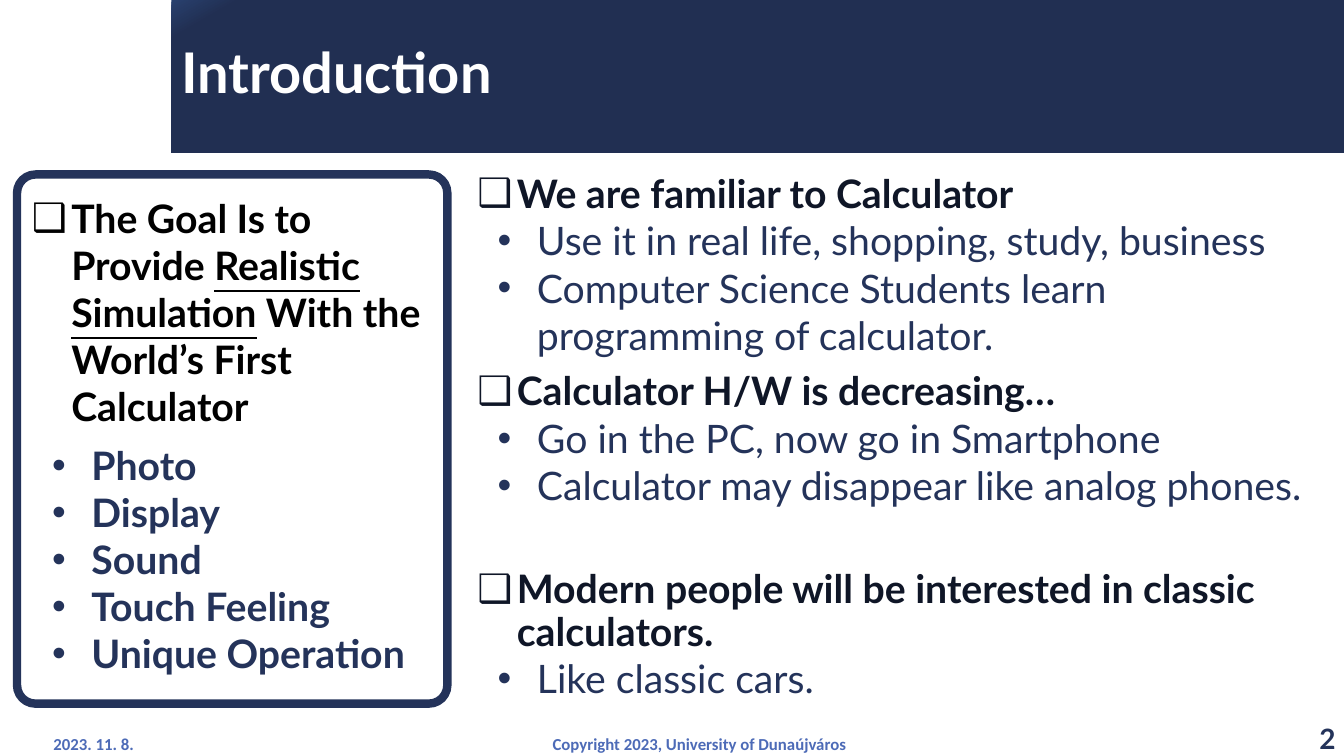
from dataclasses import dataclass
from lxml.etree import SubElement
from pptx import Presentation
from pptx.dml.color import RGBColor
from pptx.enum.shapes import MSO_SHAPE as Shape
from pptx.enum.text import MSO_ANCHOR as Anchor, PP_ALIGN as Align
from pptx.oxml.ns import qn
from pptx.util import Pt

NAVY, INK, BLACK, WHITE, BLUE = "24335A", "0F1627", "000000", "FFFFFF", "4D6BB7"
HEAD_INDENT, ITEM_INDENT, HANGING = 28.1, 42.5, 28.1


@dataclass
class Line:
    text: str
    head: bool = False
    bold: bool = False
    color: str = NAVY
    before: float = 0
    spacing: float = 1
    underlined: str = ""


@dataclass
class Footer:
    text: str
    box: tuple
    align: Align
    size: float = 12
    font: str = "Calibri"
    color: str = BLUE
    insets: tuple = (7.2, 3.6, 7.2, 0)


def rgb(value: str) -> RGBColor:
    return RGBColor.from_string(value)


def add_run(p, text: str, *, size: float = 28, font: str = "Lato", color: str = NAVY,
            bold: bool = False, underline: bool = False) -> None:
    r = p.add_run()
    r.text = text
    r.font.size = Pt(size)
    r.font.name = font
    r.font.bold = bold
    r.font.underline = underline
    r.font.color.rgb = rgb(color)


def set_frame(tf, insets: tuple, anchor: Anchor = Anchor.TOP) -> None:
    tf.word_wrap = True
    tf.vertical_anchor = anchor
    tf.margin_left, tf.margin_top, tf.margin_right, tf.margin_bottom = map(Pt, insets)


def add_text_box(slide, box: tuple, insets: tuple, anchor: Anchor = Anchor.TOP):
    tf = slide.shapes.add_textbox(*map(Pt, box)).text_frame
    set_frame(tf, insets, anchor)
    return tf


def add_bullet(p, head: bool) -> None:
    ppr = p._p.get_or_add_pPr()
    ppr.set("marL", str(Pt(HEAD_INDENT if head else ITEM_INDENT)))
    ppr.set("indent", str(-Pt(HANGING)))
    SubElement(ppr, qn("a:buFont"), typeface="Arial")
    SubElement(ppr, qn("a:buChar"), char="❑" if head else "•")


def add_list(slide, box: tuple, insets: tuple, lines: list[Line]) -> None:
    tf = add_text_box(slide, box, insets)
    for i, line in enumerate(lines):
        p = tf.add_paragraph() if i else tf.paragraphs[0]
        add_bullet(p, line.head)
        p.level = 0 if line.head else 1
        p.line_spacing = line.spacing
        p.space_before = Pt(line.before)
        start, mark, end = line.text.partition(line.underlined) if line.underlined else (line.text, "", "")
        for part in filter(None, (start, mark, end)):
            add_run(p, part, color=line.color, bold=line.bold, underline=part == mark)


def add_title(slide, text: str) -> None:
    sp = slide.shapes.title
    sp.left, sp.top, sp.width, sp.height = map(Pt, (122.4, -0.7, 837.6, 109.4))
    sp.fill.gradient()
    sp.fill.gradient_angle = 300
    for stop, color, position in zip(sp.fill.gradient_stops, ("29416F", "212F52"), (0, 0.05)):
        stop.color.rgb = rgb(color)
        stop.position = position
    set_frame(sp.text_frame, (7.2, 3.6, 7.2, 3.6), Anchor.MIDDLE)
    p = sp.text_frame.paragraphs[0]
    p.alignment = Align.LEFT
    p.line_spacing = 0.9
    add_run(p, text, size=40, color=WHITE, bold=True)


def add_panel(slide, box: tuple) -> None:
    sp = slide.shapes.add_shape(Shape.ROUNDED_RECTANGLE, *map(Pt, box))
    sp.adjustments[0] = 0.043
    sp.shadow.inherit = False
    sp.fill.background()
    sp.line.color.rgb = rgb(NAVY)
    sp.line.width = Pt(6)


def add_footer(slide, footer: Footer) -> None:
    p = add_text_box(slide, footer.box, footer.insets, Anchor.BOTTOM).paragraphs[0]
    p.alignment = footer.align
    add_run(p, footer.text, size=footer.size, font=footer.font, color=footer.color, bold=True)


def heading(text: str, before: float = 10) -> Line:
    return Line(text, head=True, bold=True, color=INK, before=before, spacing=0.9)


GOAL = [
    Line("The Goal Is to Provide Realistic Simulation With the World’s First Calculator",
         head=True, bold=True, color=BLACK, underlined="Realistic Simulation"),
    Line("Photo", bold=True, before=8),
    *(Line(text, bold=True) for text in ("Display", "Sound", "Touch Feeling", "Unique Operation")),
]
REASONS = [
    heading("We are familiar to Calculator", before=0),
    Line("Use it in real life, shopping, study, business"),
    Line("Computer Science Students learn programming of calculator."),
    heading("Calculator H/W is decreasing…"),
    Line("Go in the PC, now go in Smartphone"),
    Line("Calculator may disappear like analog phones."),
    heading("Modern people will be interested in classic calculators.", before=44),
    Line("Like classic cars."),
]
FOOTERS = [
    Footer("2023. 11. 8.", (31, 514.8, 115.2, 23.8), Align.LEFT),
    Footer("Copyright 2023, University of Dunaújváros", (160.6, 514.8, 678.2, 23.8), Align.CENTER),
    Footer("2", (853.2, 510.5, 106.6, 28.8), Align.RIGHT, size=20, font="Lato", color=NAVY,
           insets=(0, 0, 5.8, 0)),
]


def main() -> None:
    prs = Presentation()
    prs.slide_width, prs.slide_height = Pt(960), Pt(540)
    slide = prs.slides.add_slide(prs.slide_layouts[5])
    add_title(slide, "Introduction")
    add_list(slide, (334, 110.2, 620, 417.6), (7.2, 14.4, 7.2, 8.6), REASONS)
    add_panel(slide, (12.2, 124.6, 307.4, 378))
    add_list(slide, (15.8, 135.4, 304.6, 360), (7.2, 3.6, 7.2, 3.6), GOAL)
    for footer in FOOTERS:
        add_footer(slide, footer)
    prs.save("out.pptx")


if __name__ == "__main__":
    main()
